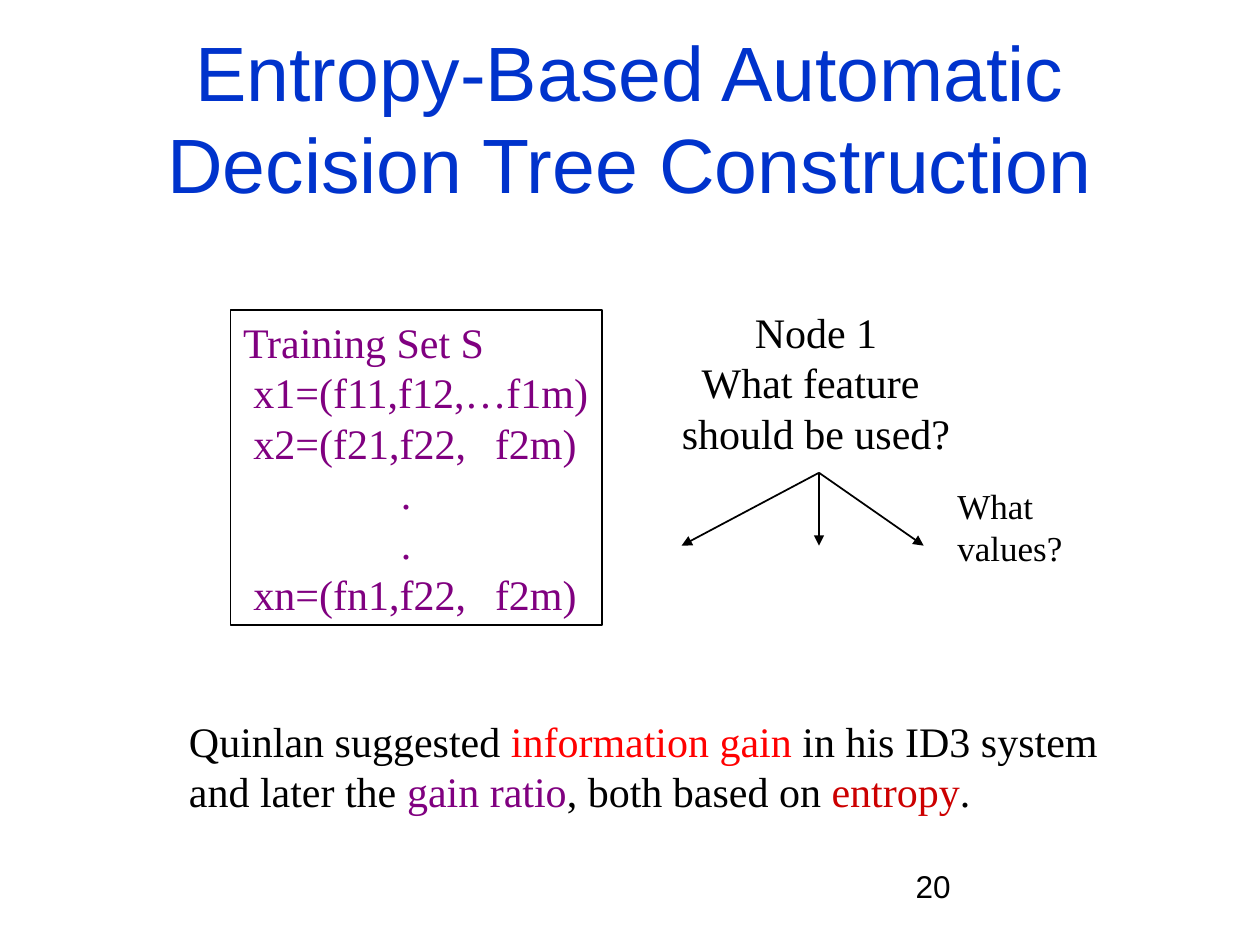
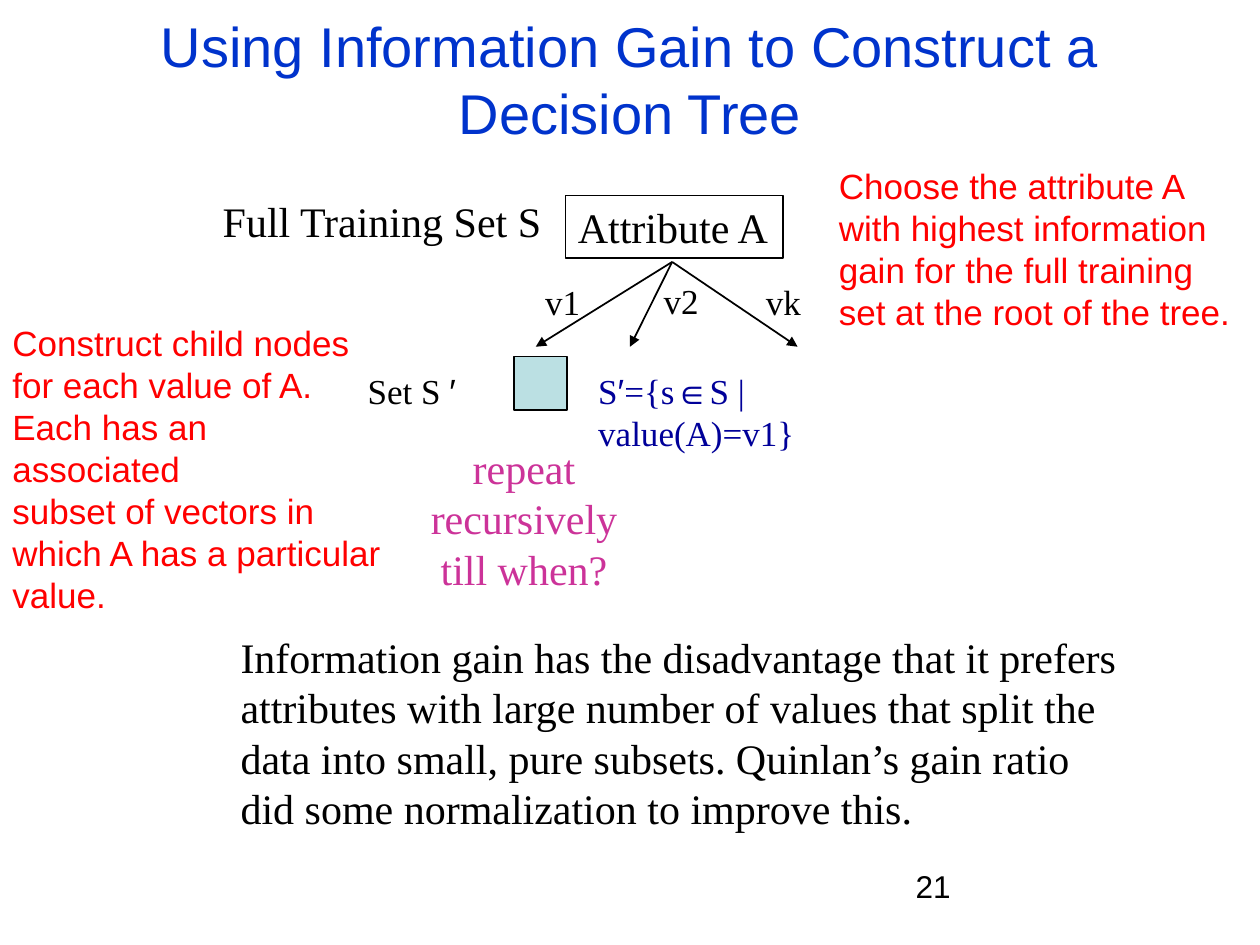
"""Build two slides on entropy-based decision tree construction."""
from dataclasses import dataclass, field

from lxml.etree import SubElement
from pptx import Presentation
from pptx.dml.color import RGBColor
from pptx.enum.shapes import MSO_CONNECTOR, MSO_SHAPE
from pptx.enum.text import MSO_ANCHOR, MSO_AUTO_SIZE, PP_ALIGN
from pptx.oxml.ns import qn
from pptx.presentation import Presentation as Deck
from pptx.shapes.autoshape import Shape
from pptx.slide import Slide
from pptx.text.text import TextFrame, _Run
from pptx.util import Cm, Pt


@dataclass(frozen=True)
class Theme:
    sans: str = "Arial"
    serif: str = "Times New Roman"
    black: str = "000000"
    title: str = "0033CC"
    purple: str = "800080"
    red: str = "FF0000"
    dark_red: str = "CC0000"
    navy: str = "000099"
    pink: str = "CC3399"
    subset: str = "BBE0E3"
    body_size: int = 24
    label_size: int = 20
    number_size: int = 18
    line_width: int = 1


THEME = Theme()


@dataclass(frozen=True)
class Box:
    left: float
    top: float
    width: float
    height: float

    def lengths(self) -> tuple[Cm, Cm, Cm, Cm]:
        return Cm(self.left), Cm(self.top), Cm(self.width), Cm(self.height)


@dataclass(frozen=True)
class Span:
    text: str
    color: str = ""
    font: str = ""


@dataclass(frozen=True)
class Label:
    box: Box
    lines: list[str | list[Span]]
    size: int = THEME.body_size
    color: str = THEME.black
    font: str = THEME.serif
    align: PP_ALIGN = PP_ALIGN.LEFT
    framed: bool = False
    wrap: bool = False
    indents: dict[int, float] = field(default_factory=dict)
    tab_stop: float = 0


@dataclass(frozen=True)
class Fan:
    origin: tuple[float, float]
    tip_lefts: tuple[float, ...]
    tip_top: float


def style_run(run: _Run, size: int, color: str, font: str) -> None:
    run.font.size = Pt(size)
    run.font.name = font
    run.font.color.rgb = RGBColor.from_string(color)


def style_frame(frame: TextFrame, size: int, color: str, font: str, align: PP_ALIGN) -> None:
    for paragraph in frame.paragraphs:
        paragraph.alignment = align
        for run in paragraph.runs:
            style_run(run, size, color, font)


def add_rectangle(slide: Slide, box: Box, fill: str = "") -> Shape:
    shape = slide.shapes.add_shape(MSO_SHAPE.RECTANGLE, *box.lengths())
    shape.shadow.inherit = False
    if fill:
        shape.fill.solid()
        shape.fill.fore_color.rgb = RGBColor.from_string(fill)
    else:
        shape.fill.background()
    shape.line.color.rgb = RGBColor.from_string(THEME.black)
    shape.line.width = Pt(THEME.line_width)
    return shape


def add_label(slide: Slide, label: Label) -> None:
    if label.framed:
        shape = add_rectangle(slide, label.box)
    else:
        shape = slide.shapes.add_textbox(*label.box.lengths())
    frame = shape.text_frame
    frame.vertical_anchor = MSO_ANCHOR.TOP
    frame.word_wrap = label.wrap
    frame.auto_size = MSO_AUTO_SIZE.SHAPE_TO_FIT_TEXT
    frame.text = "\n".join(line if isinstance(line, str) else "" for line in label.lines)
    style_frame(frame, label.size, label.color, label.font, label.align)
    for index, (paragraph, line) in enumerate(zip(frame.paragraphs, label.lines)):
        if not isinstance(line, str):
            for span in line:
                run = paragraph.add_run()
                run.text = span.text
                style_run(run, label.size, span.color or label.color, span.font or label.font)
        if index in label.indents:
            properties = paragraph._p.get_or_add_pPr()
            properties.set("marL", "0")
            properties.set("indent", str(Cm(label.indents[index])))
            if label.tab_stop:
                tabs = SubElement(properties, qn("a:tabLst"))
                SubElement(tabs, qn("a:tab"), pos=str(Cm(label.tab_stop)), algn="l")


def add_fan(slide: Slide, fan: Fan) -> None:
    for tip_left in fan.tip_lefts:
        connector = slide.shapes.add_connector(
            MSO_CONNECTOR.STRAIGHT, *map(Cm, (*fan.origin, tip_left, fan.tip_top))
        )
        connector.line.color.rgb = RGBColor.from_string(THEME.black)
        connector.line.width = Pt(THEME.line_width)
        SubElement(connector.line._get_or_add_ln(), qn("a:tailEnd"), type="triangle")
        SubElement(connector._element.spPr, qn("a:effectLst"))


def add_titled_slide(
    presentation: Deck, title: str, top: float, size: int, number: int
) -> Slide:
    slide = presentation.slides.add_slide(presentation.slide_layouts[5])
    shape = slide.shapes.title
    shape.left, shape.top, shape.width, shape.height = Box(1.27, top, 22.86, 3.18).lengths()
    frame = shape.text_frame
    frame.text = title
    frame.word_wrap = True
    frame.auto_size = MSO_AUTO_SIZE.NONE
    frame.vertical_anchor = MSO_ANCHOR.MIDDLE
    style_frame(frame, size, THEME.title, THEME.sans, PP_ALIGN.CENTER)
    add_label(slide, Label(Box(18.21, 17.35, 5.92, 1.32), [str(number)],
                           THEME.number_size, font=THEME.sans, wrap=True))
    return slide


def build_entropy_slide(presentation: Deck) -> None:
    slide = add_titled_slide(
        presentation, "Entropy-Based Automatic Decision Tree Construction", 0.76, 44, 20
    )
    add_fan(slide, Fan((16.51, 9.53), (13.74, 16.51, 18.62), 11))
    row_indent, dot_indent = 0.21, 3.18
    labels = [
        Label(Box(13.49, 6.05, 5.92, 3.3),
              ["Node 1", "What feature ", "should be used?"], align=PP_ALIGN.CENTER),
        Label(Box(19.05, 9.65, 4.32, 1.12), ["What values?"], THEME.label_size),
        Label(Box(4.65, 6.25, 7.49, 6.35),
              ["Training Set S", "x1=(f11,f12,…f1m)", "x2=(f21,f22,\tf2m)",
               ".", ".", "xn=(fn1,f22,\tf2m)"],
              color=THEME.purple, framed=True, tab_stop=5.32,
              indents={1: row_indent, 2: row_indent, 3: dot_indent,
                       4: dot_indent, 5: row_indent}),
        Label(Box(3.56, 14.3, 18.82, 2.29), [
            [Span("Quinlan suggested "), Span("information gain", THEME.red),
             Span(" in his ID3 system")],
            [Span("and later the "), Span("gain ratio", THEME.purple),
             Span(", both based on "), Span("entropy", THEME.dark_red), Span(".")],
        ]),
    ]
    for label in labels:
        add_label(slide, label)


def build_information_gain_slide(presentation: Deck) -> None:
    slide = add_titled_slide(
        presentation, "Using Information Gain to Construct a Decision Tree", 0, 32, 21
    )
    add_fan(slide, Fan((13.55, 5.28), (10.8, 12.7, 16.08), 6.99))
    add_rectangle(slide, Box(10.36, 7.19, 1.07, 1.07), THEME.subset)
    prime = Span("′", font=THEME.sans)
    branch_values = [("v1", 10.74, 5.54), ("v2", 13.13, 5.51), ("vk", 15.19, 5.54)]
    labels = [
        Label(Box(11.4, 3.94, 4.39, 1.27), ["Attribute A"], framed=True),
        *(Label(Box(left, top, 1.22, 1.12), [value], THEME.label_size)
          for value, left, top in branch_values),
        Label(Box(4.24, 3.81, 6.96, 1.27), ["Full Training Set S"]),
        Label(Box(7.16, 7.32, 2.39, 1.12), [[Span("Set S "), prime]], THEME.label_size),
        Label(Box(8.43, 8.79, 4.27, 3.3), ["repeat", "recursively", "till when?"],
              color=THEME.pink, align=PP_ALIGN.CENTER),
        Label(Box(4.6, 12.6, 18.16, 4.32), [
            "Information gain has the disadvantage that it prefers",
            "attributes with large number of values that split the",
            "data into small, pure subsets. Quinlan’s gain ratio",
            "did some normalization to improve this.",
        ]),
        Label(Box(11.81, 7.32, 7.2, 1.12),
              [[Span("S"), prime, Span("={s"), Span("∈", font=THEME.sans),
                Span("S | value(A)=v1}")]],
              THEME.label_size, THEME.navy, wrap=True),
        Label(Box(16.66, 3.2, 8.41, 3.66),
              ["Choose the attribute A", "with highest information",
               "gain for the full training", "set at the root of the tree."],
              THEME.label_size, THEME.red, THEME.sans),
        Label(Box(0, 6.35, 8, 5.33),
              ["Construct child nodes", "for each value of A.", "Each has an associated",
               "subset of vectors in", "which A has a particular", "value."],
              THEME.label_size, THEME.red, THEME.sans),
    ]
    for label in labels:
        add_label(slide, label)


def main() -> None:
    presentation = Presentation()
    presentation.slide_width, presentation.slide_height = Cm(25.4), Cm(19.05)
    build_entropy_slide(presentation)
    build_information_gain_slide(presentation)
    presentation.save("out.pptx")


if __name__ == "__main__":
    main()
